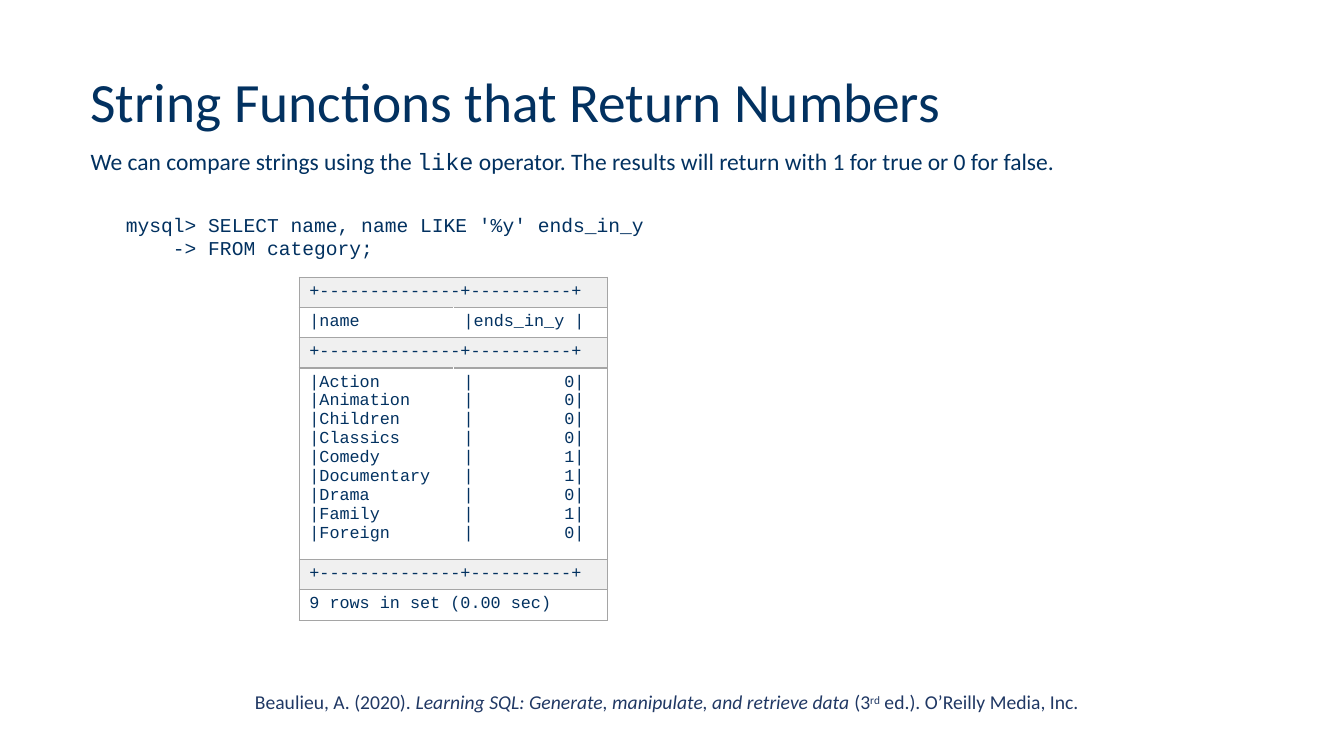
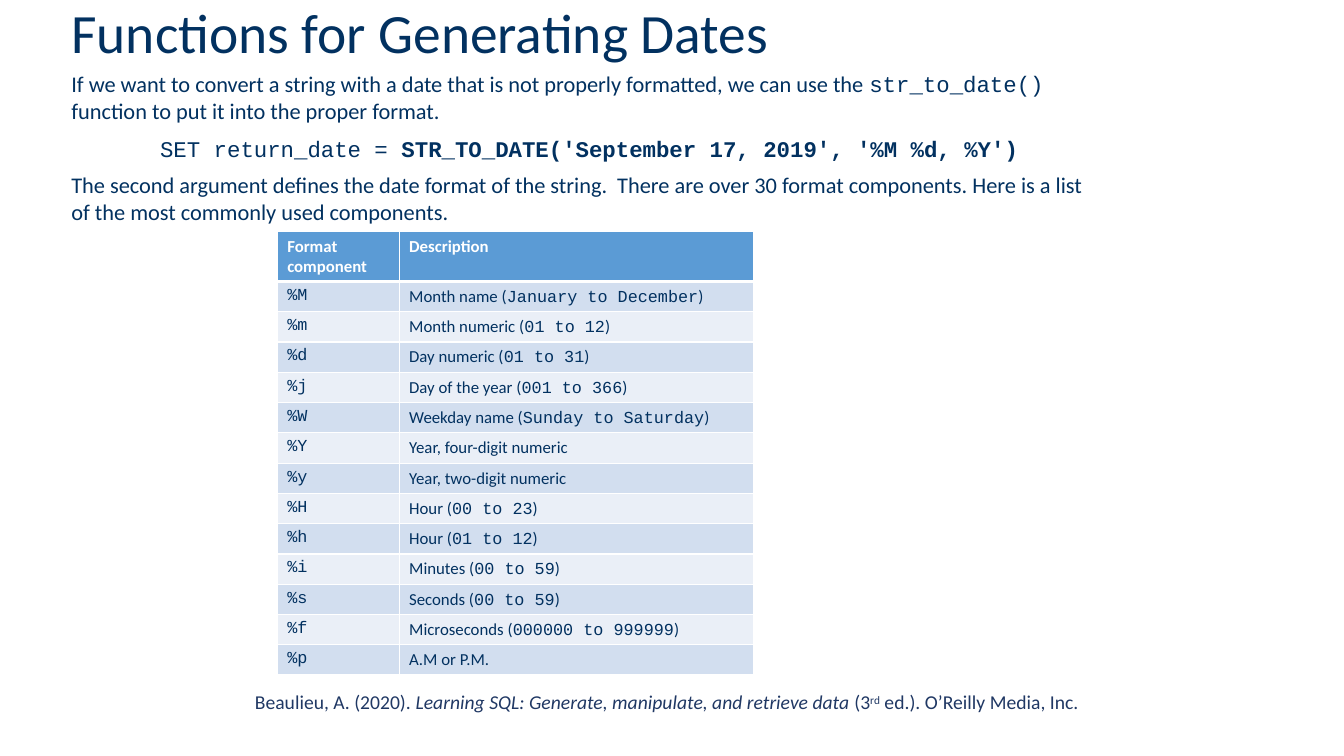
"""Build two slides on SQL string comparison and date formatting."""
from lxml.etree import SubElement
from pptx import Presentation
from pptx.dml.color import RGBColor
from pptx.enum.text import MSO_ANCHOR as Anchor
from pptx.oxml.ns import qn
from pptx.util import Pt

COLORS = {
    "navy": "023160", "footer": "203864", "white": "FFFFFF",
    "gray_line": "A5A5A5", "gray_fill": "F0F0F0",
    "header": "5B9BD5", "band_dark": "D2DEEF", "band_light": "EAEFF7",
}
SANS, MONO = "Calibri", "Courier New"
CODE, BOLD, ITALIC = {"name": MONO}, {"bold": True}, {"italic": True}
ROW_HEIGHT = 21.6

CATEGORIES = [
    ("Action", 0), ("Animation", 0), ("Children", 0), ("Classics", 0), ("Comedy", 1),
    ("Documentary", 1), ("Drama", 0), ("Family", 1), ("Foreign", 0),
]
FORMAT_COMPONENTS = [
    ("%M", "Month name", "January to December"),
    ("%m", "Month numeric", "01 to 12"),
    ("%d", "Day numeric", "01 to 31"),
    ("%j", "Day of the year", "001 to 366"),
    ("%W", "Weekday name", "Sunday to Saturday"),
    ("%Y", "Year, four-digit numeric", None),
    ("%y", "Year, two-digit numeric", None),
    ("%H", "Hour", "00 to 23"),
    ("%h", "Hour", "01 to 12"),
    ("%i", "Minutes", "00 to 59"),
    ("%s", "Seconds", "00 to 59"),
    ("%f", "Microseconds", "000000 to 999999"),
    ("%p", "A.M or P.M.", None),
]


def color(name):
    """Return the named colour."""
    return RGBColor.from_string(COLORS[name])


def write(frame, lines, size, font=SANS, ink="navy", bold=False, spacing=None):
    """Write lines, each a string or a list of (text, format) runs."""
    for index, line in enumerate(lines):
        paragraph = frame.add_paragraph() if index else frame.paragraphs[0]
        if spacing:
            paragraph.line_spacing = spacing
        paragraph.font.size = Pt(size)
        paragraph.font.name = font
        paragraph.font.bold = bold
        paragraph.font.color.rgb = color(ink)
        for text, changes in [(line, {})] if isinstance(line, str) else line:
            run = paragraph.add_run()
            run.text = text
            for key, value in changes.items():
                if key == "baseline":
                    run._r.get_or_add_rPr().set("baseline", value)
                else:
                    setattr(run.font, key, value)


def add_text(slide, box, lines, size, anchor=Anchor.TOP, **style):
    """Add a wrapping text box."""
    frame = slide.shapes.add_textbox(*map(Pt, box)).text_frame
    frame.word_wrap = True
    frame.vertical_anchor = anchor
    write(frame, lines, size, **style)


def add_slide(presentation, title, left, top):
    """Add a slide with its title and the citation footer."""
    slide = presentation.slides.add_slide(presentation.slide_layouts[6])
    citation = [
        ("Beaulieu, A. (2020). ", {}),
        ("Learning SQL: Generate, manipulate, and retrieve data", ITALIC),
        (" (3", {}), ("rd", {"baseline": "30000"}), (" ed.). O’Reilly Media, Inc.", {}),
    ]
    add_text(slide, (175, 489.6, 609, 24.5), [citation], 14, ink="footer")
    add_text(slide, (left, top, 828, 44.6), [title], 39.6, Anchor.MIDDLE, spacing=0.9)
    return slide


def add_table(slide, left, top, widths, heights):
    """Add an unstyled table with the given column widths and row heights."""
    frame = slide.shapes.add_table(
        len(heights), len(widths), Pt(left), Pt(top), Pt(sum(widths)), Pt(sum(heights)))
    table = frame.table
    table.first_row = table.horz_banding = False
    for column, width in zip(table.columns, widths):
        column.width = Pt(width)
    for row, height in zip(table.rows, heights):
        row.height = Pt(height)
    return table


def fill_cell(cell, lines, fill, line, borders, **style):
    """Set a cell's borders (side to width), fill and text."""
    properties = cell._tc.get_or_add_tcPr()
    for side in "LRTB":
        if side in borders:
            border = SubElement(properties, qn(f"a:ln{side}"), w=str(Pt(borders[side])))
            solid = SubElement(border, qn("a:solidFill"))
            SubElement(solid, qn("a:srgbClr"), val=COLORS[line])
    cell.fill.solid()
    cell.fill.fore_color.rgb = color(fill)
    write(cell.text_frame, lines, 12, **style)


def add_query_result(slide):
    """Add the console output of the query as a table."""
    rule = ["+--------------+----------+"]
    names = [f"|{name}" for name, _ in CATEGORIES]
    flags = [f"|{flag:>10}|" for _, flag in CATEGORIES]
    rows = [
        (rule,), (["|name"], ["|ends_in_y |"]), (rule,), (names, flags), (rule,),
        (["9 rows in set (0.00 sec)"],),
    ]
    heights = [136.8 if cells[0] is names else ROW_HEIGHT for cells in rows]
    table = add_table(slide, 213.8, 198, [110.2, 110.2], heights)
    for index, cells in enumerate(rows):
        if len(cells) == 1:
            table.cell(index, 0).merge(table.cell(index, 1))
        fill = "gray_fill" if cells[0] is rule else "white"
        sides = ["LRTB"] if len(cells) == 1 else ["LTB", "RTB"]
        for column, lines in enumerate(cells):
            borders = dict.fromkeys(sides[column], 1)
            fill_cell(table.cell(index, column), lines, fill, "gray_line", borders, font=MONO)


def add_format_table(slide):
    """Add the banded table of date format components."""
    heights = [36] + [ROW_HEIGHT] * len(FORMAT_COMPONENTS)
    table = add_table(slide, 198, 165, [87.1, 253.4], heights)
    borders = dict.fromkeys("LRTB", 1)
    for column, heading in enumerate(["Format component", "Description"]):
        fill_cell(table.cell(0, column), [heading], "header", "white", {**borders, "B": 3},
                  ink="white", bold=True)
    for index, (component, label, limits) in enumerate(FORMAT_COMPONENTS, 1):
        fill = "band_dark" if index % 2 else "band_light"
        edges = {**borders, "T": 3} if index == 1 else borders
        description = [(f"{label} (", {}), (limits, CODE), (")", {})] if limits else label
        fill_cell(table.cell(index, 0), [component], fill, "white", edges, font=MONO)
        fill_cell(table.cell(index, 1), [description], fill, "white", edges)


def build_strings_slide(presentation):
    """Build the slide on comparing strings."""
    slide = add_slide(presentation, "String Functions that Return Numbers", 57.6, 52.5)
    intro = [
        ("We can compare strings using the ", {}), ("like", CODE),
        (" operator. The results will return with 1 for true or 0 for false.", {}),
    ]
    add_text(slide, (57.6, 105, 785, 35), [intro], 16.8, spacing=0.8)
    query = ["mysql> SELECT name, name LIKE '%y' ends_in_y", "    -> FROM category;"]
    add_text(slide, (82.8, 148.3, 389, 41), query, 14, font=MONO)
    add_query_result(slide)


def build_dates_slide(presentation):
    """Build the slide on generating dates."""
    slide = add_slide(presentation, "Functions for Generating Dates", 43.9, 2.9)
    intro = [
        ("If we want to convert a string with a date that is not properly formatted, "
         "we can use the ", {}),
        ("str_to_date()", CODE), (" function to put it into the proper format.", {}),
    ]
    statement = [
        ("SET return_date = ", {}),
        ("STR_TO_DATE('September 17, 2019', '%M %d, %Y')", BOLD),
    ]
    explanation = (
        "The second argument defines the date format of the string.  There are over 30 format "
        "components. Here is a list of the most commonly used components.")
    add_text(slide, (43.9, 46.8, 753, 46), [intro], 16)
    add_text(slide, (107.3, 92.9, 663, 26.6), [statement], 16, font=MONO)
    add_text(slide, (43.9, 118.8, 753, 46), [explanation], 16)
    add_format_table(slide)


def main():
    """Build and save the presentation."""
    presentation = Presentation()
    presentation.slide_width, presentation.slide_height = Pt(960), Pt(540)
    build_strings_slide(presentation)
    build_dates_slide(presentation)
    presentation.save("out.pptx")


if __name__ == "__main__":
    main()
